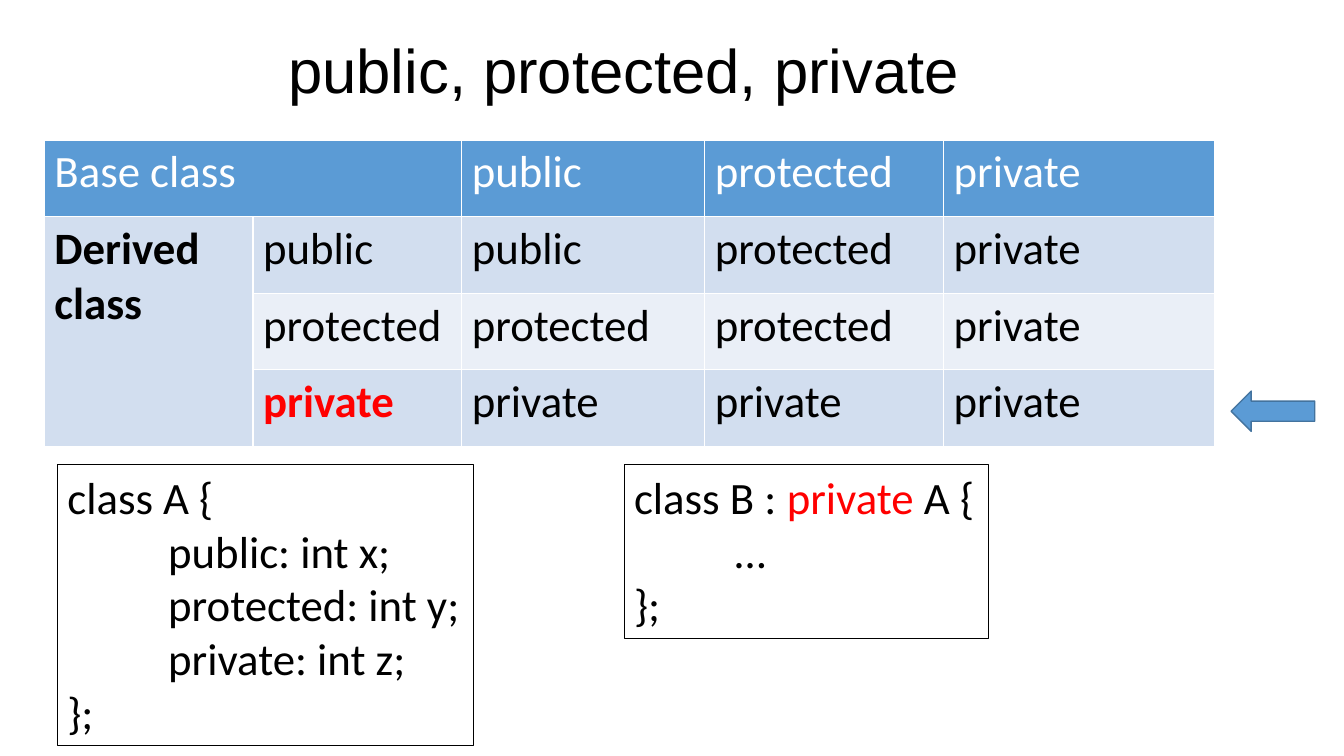
from lxml.etree import SubElement
from pptx import Presentation
from pptx.dml.color import RGBColor
from pptx.enum.shapes import MSO_SHAPE
from pptx.enum.text import MSO_ANCHOR, MSO_AUTO_SIZE, PP_ALIGN
from pptx.oxml import parse_xml
from pptx.oxml.ns import nsdecls, qn
from pptx.util import Pt

PX = 9144
BLACK = RGBColor(0x00, 0x00, 0x00)
WHITE = RGBColor(0xFF, 0xFF, 0xFF)
RED = RGBColor(0xFF, 0x00, 0x00)
BLUE = RGBColor(0x5B, 0x9B, 0xD5)
DARK_BLUE = RGBColor(0x43, 0x73, 0x9E)
BAND_DARK = RGBColor(0xD2, 0xDE, 0xEF)
BAND_LIGHT = RGBColor(0xEA, 0xEF, 0xF7)

COLUMN_WIDTHS = [207, 207, 241, 237, 269]
ACCESS_ROWS = [
    ["Base class", "", "public", "protected", "private"],
    ["Derived\nclass", "public", "public", "protected", "private"],
    ["", "protected", "protected", "protected", "private"],
    ["", "private", "private", "private", "private"],
]
ROW_FILLS = [BLUE, BAND_DARK, BAND_LIGHT, BAND_DARK]
CLASS_A = [
    [("class A {", BLACK)],
    [("\tpublic: int x;", BLACK)],
    [("\tprotected: int y;", BLACK)],
    [("\tprivate: int z;", BLACK)],
    [("};", BLACK)],
]
CLASS_B = [
    [("class B : ", BLACK), ("private ", RED), ("A {", BLACK)],
    [("\t…", BLACK)],
    [("};", BLACK)],
]


def emu(*lengths):
    return [n * PX for n in lengths]


def style_font(font, color, size=32, name="Calibri", bold=False):
    font.name, font.size, font.bold = name, Pt(size), bold
    font.color.rgb = color


def add_title(slide, box, text):
    tf = slide.shapes.add_textbox(*emu(*box)).text_frame
    tf.word_wrap = True
    tf.vertical_anchor = MSO_ANCHOR.MIDDLE
    tf.text = text
    p = tf.paragraphs[0]
    p.alignment = PP_ALIGN.CENTER
    p.line_spacing = 0.9
    style_font(p.runs[0].font, BLACK, 44, "Arial")


def add_borders(cell):
    tc_pr = cell._tc.get_or_add_tcPr()
    for i, side in enumerate(("lnL", "lnR", "lnT", "lnB")):
        tc_pr.insert(i, parse_xml(
            f'<a:{side} {nsdecls("a")} w="{Pt(1)}"><a:solidFill>'
            f'<a:srgbClr val="{WHITE}"/></a:solidFill></a:{side}>'))


def add_access_table(slide, box):
    table = slide.shapes.add_table(
        len(ACCESS_ROWS), len(COLUMN_WIDTHS), *emu(*box)).table
    for col, width in zip(table.columns, COLUMN_WIDTHS):
        col.width = width * PX
    table.cell(0, 0).merge(table.cell(0, 1))
    table.cell(1, 0).merge(table.cell(3, 0))
    for r, (texts, fill) in enumerate(zip(ACCESS_ROWS, ROW_FILLS)):
        for c, text in enumerate(texts):
            cell = table.cell(r, c)
            cell.fill.solid()
            cell.fill.fore_color.rgb = fill
            add_borders(cell)
            if cell.is_spanned:
                continue
            cell.text = text
            highlighted = (r, c) == (3, 1)
            color = RED if highlighted else WHITE if r == 0 else BLACK
            for p in cell.text_frame.paragraphs:
                style_font(p.runs[0].font, color,
                           bold=highlighted or (r, c) == (1, 0))


def add_row_arrow(slide, box):
    sp = slide.shapes.add_shape(MSO_SHAPE.LEFT_ARROW, *emu(*box))
    sp.shadow.inherit = False
    sp.fill.solid()
    sp.fill.fore_color.rgb = BLUE
    sp.line.color.rgb = DARK_BLUE
    sp.line.width = Pt(1)


def add_code_box(slide, box, lines):
    sp = slide.shapes.add_textbox(*emu(*box))
    sp.line.color.rgb = BLACK
    sp.line.width = Pt(0.75)
    tf = sp.text_frame
    tf.word_wrap = False
    tf.auto_size = MSO_AUTO_SIZE.SHAPE_TO_FIT_TEXT
    for i, line in enumerate(lines):
        p = tf.add_paragraph() if i else tf.paragraphs[0]
        tabs = SubElement(p._p.get_or_add_pPr(), qn("a:tabLst"))
        SubElement(tabs, qn("a:tab"), pos=str(100 * PX), algn="l")
        for text, color in line:
            r = p.add_run()
            r.text = text
            style_font(r.font, color)


def main():
    prs = Presentation()
    prs.slide_width, prs.slide_height = emu(1333, 750)
    slide = prs.slides.add_slide(prs.slide_layouts[6])
    add_title(slide, (44, 0, 1150, 145), "public, protected, private")
    add_access_table(slide, (44, 139, sum(COLUMN_WIDTHS), 304))
    add_row_arrow(slide, (1221, 388, 83, 40))
    add_code_box(slide, (619, 461, 361, 172), CLASS_B)
    add_code_box(slide, (57, 461, 413, 279), CLASS_A)
    prs.save("out.pptx")


if __name__ == "__main__":
    main()
